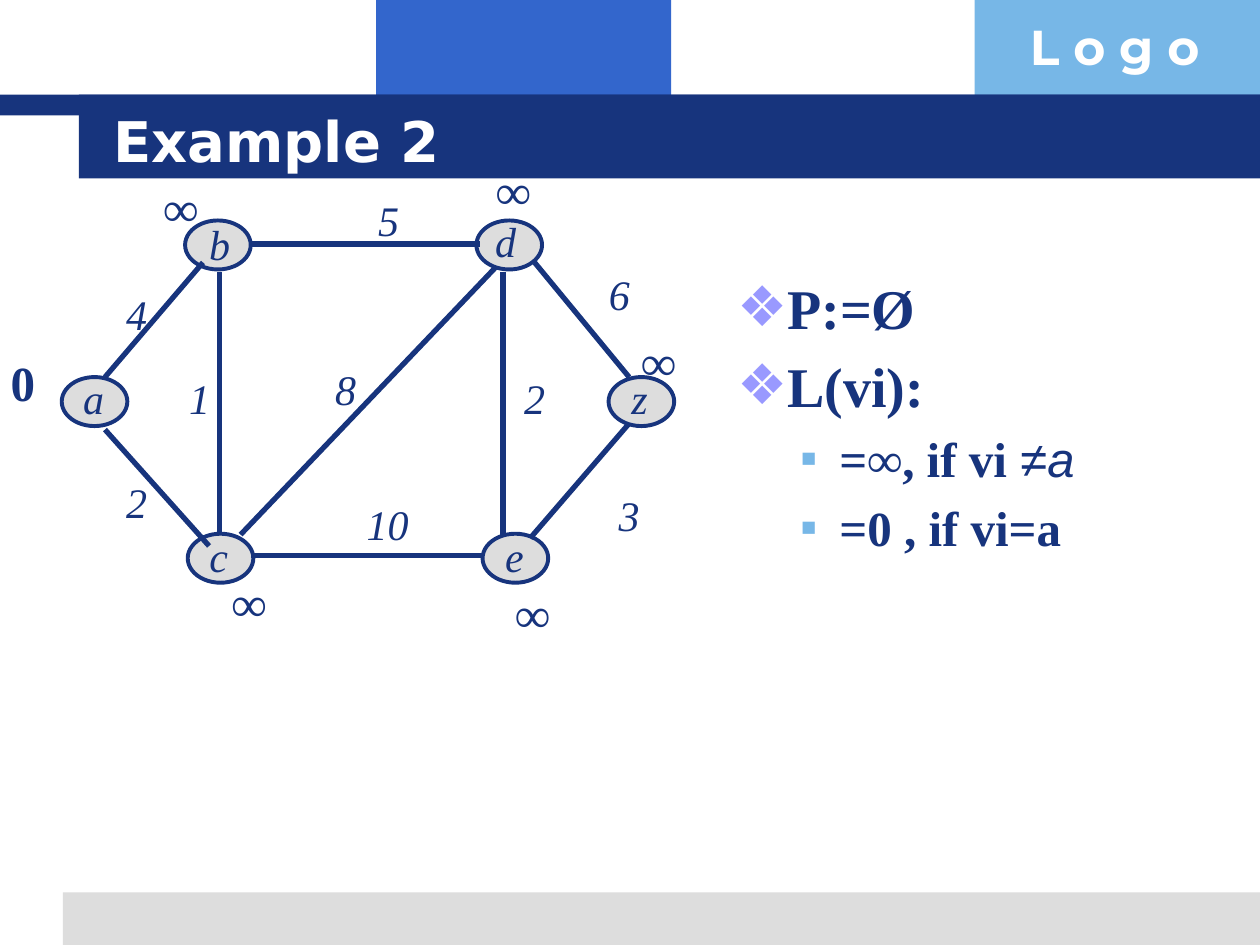
from lxml.etree import SubElement as Sub
from pptx import Presentation
from pptx.dml.color import RGBColor
from pptx.enum.shapes import MSO_CONNECTOR as Link, MSO_SHAPE as Form
from pptx.enum.text import MSO_ANCHOR as Anchor, MSO_AUTO_SIZE as Fit, PP_ALIGN as Align
from pptx.oxml.ns import qn
from pptx.util import Pt

NAVY = RGBColor(0x17, 0x34, 0x7D)
BLUE = RGBColor(0x33, 0x66, 0xCC)
SKY = RGBColor(0x77, 0xB7, 0xE7)
LILAC = RGBColor(0x99, 0x99, 0xFF)
GREY = RGBColor(0xDD, 0xDD, 0xDD)
WHITE = RGBColor(0xFF, 0xFF, 0xFF)
SERIF = "Times New Roman"

BARS = [
    (215, 0, 168.5, 66.5, BLUE),
    (557, 0, 163, 66.5, SKY),
    (36, 510, 684, 30, GREY),
    (0, 54, 720, 12, NAVY),
    (45, 54, 675, 48, NAVY),
]
NODES = [
    ("a", 54, 139.5, 53.5, 137.5),
    ("b", 124.5, 50, 125.5, 49),
    ("c", 126, 229, 125, 227.5),
    ("d", 291, 50, 289, 47.5),
    ("e", 294.5, 229, 294, 227.5),
    ("z", 366.5, 139.5, 365.5, 137.5),
]
EDGES = [
    (60, 125.5, 116, 60, "4", 78, 89.5),
    (60, 155.5, 119.5, 222, "2", 78, 196.5),
    (125.5, 215.5, 125.5, 65.5, "1", 114, 137),
    (142.5, 49.5, 274.5, 49.5, "5", 222, 35.5),
    (137.5, 215.5, 283.5, 62.5, "8", 197.5, 132),
    (143.5, 227.5, 276, 227.5, "10", 221.5, 209.5),
    (287.5, 215.5, 287.5, 65.5, "2", 305.5, 137.5),
    (305.5, 60, 359.5, 125.5, "6", 354, 78),
    (303, 217.5, 359.5, 152, "3", 359.5, 204),
]
MARKS = [
    ("0", 13.5, 128, 29),
    ("∞", 107.5, 28.5, 42.5),
    ("∞", 146.5, 254, 42.5),
    ("∞", 297.5, 18.5, 42.5),
    ("∞", 308.5, 260.5, 42.5),
    ("∞", 380.5, 116.5, 42.5),
]
STEPS = [
    (0, [("P:=Ø", True)]),
    (0, [("L(vi):", True)]),
    (1, [("=∞, if vi", True), (" ≠a", False)]),
    (1, [("=0 , if vi=a", True)]),
]
LEVELS = [(32, 27, 27, "❖", LILAC), (28, 58.5, 22.5, "▪", SKY)]


def style(run, size, face=SERIF, color=NAVY, bold=False, slant=False):
    """Format one run."""
    font = run.font
    font.size, font.name = Pt(size), face
    font.bold, font.italic = bold, slant
    font.color.rgb = color


def solid(shapes, form, box, fill):
    """Add a filled shape without line or shadow."""
    shape = shapes.add_shape(form, *map(Pt, box))
    shape.shadow.inherit = False
    shape.fill.solid()
    shape.fill.fore_color.rgb = fill
    shape.line.fill.background()
    return shape


def label(shapes, text, box, size, align=Align.LEFT, **look):
    """Add a one-line text box."""
    frame = shapes.add_textbox(*map(Pt, box)).text_frame
    frame.word_wrap = True
    frame.text = text
    frame.vertical_anchor = Anchor.MIDDLE
    para = frame.paragraphs[0]
    para.alignment = align
    style(para.runs[0], size, **look)


def centred(shapes, text, x, y):
    """Add an italic graph label centred on a point."""
    wide = 24 + 12 * len(text)
    label(shapes, text, (x - wide / 2, y - 18, wide, 36), 24, Align.CENTER, slant=True)


def place(holder, box):
    """Move a placeholder to a box and to the front."""
    holder.left, holder.top, holder.width, holder.height = map(Pt, box)
    holder.text_frame.auto_size = Fit.NONE
    holder.element.getparent().append(holder.element)


def banner(shapes):
    """Draw the coloured bars and the corner word."""
    for *box, fill in BARS:
        solid(shapes, Form.RECTANGLE, box, fill)
    label(shapes, "L o g o", (581.5, 5.5, 138.5, 41), 28,
          face="Montserrat", color=WHITE, bold=True)


def head(holder, text, box):
    """Fill the title placeholder."""
    place(holder, box)
    frame = holder.text_frame
    frame.text = text
    frame.vertical_anchor = Anchor.MIDDLE
    para = frame.paragraphs[0]
    para.alignment = Align.LEFT
    style(para.runs[0], 32, "DejaVu Sans", WHITE, True)


def bullet(para, left, hang, sign, color):
    """Give a paragraph its indents and bullet."""
    props = para._p.get_or_add_pPr()
    props.set("marL", str(Pt(left)))
    props.set("indent", str(-Pt(hang)))
    tint = Sub(props, qn("a:buClr"))
    Sub(tint, qn("a:srgbClr"), val=str(color))
    Sub(props, qn("a:buChar"), char=sign)


def steps(holder, box):
    """Fill the body placeholder with the starting steps."""
    place(holder, box)
    frame = holder.text_frame
    frame.vertical_anchor = Anchor.TOP
    for i, (level, parts) in enumerate(STEPS):
        para = frame.add_paragraph() if i else frame.paragraphs[0]
        para.level = level
        size, *look = LEVELS[level]
        bullet(para, *look)
        for text, bold in parts:
            run = para.add_run()
            run.text = text
            style(run, size, SERIF if bold else "Arial", bold=bold, slant=not bold)


def edge(shapes, ends):
    """Draw one edge of the graph."""
    line = shapes.add_connector(Link.STRAIGHT, *map(Pt, ends))
    line.line.color.rgb = NAVY
    line.line.width = Pt(3)
    Sub(line.element.spPr, qn("a:effectLst"))


def graph(shapes, left, top):
    """Draw the weighted graph from its upper left corner."""
    for _, x, y, *_ in NODES:
        box = (left + x - 18.75, top + y - 14, 37.5, 28)
        oval = solid(shapes, Form.OVAL, box, GREY)
        oval.line.color.rgb = NAVY
        oval.line.width = Pt(2.25)
    for x1, y1, x2, y2, cost, x, y in EDGES:
        edge(shapes, (left + x1, top + y1, left + x2, top + y2))
        centred(shapes, cost, left + x, top + y)
    for name, _, _, x, y in NODES:
        centred(shapes, name, left + x, top + y)
    for text, x, y, wide in MARKS:
        box = (left + x - wide / 2, top + y - 20.5, wide, 41)
        label(shapes, text, box, 28, bold=True)


def main():
    """Build and save the slide."""
    deck = Presentation()
    deck.slide_width, deck.slide_height = Pt(720), Pt(540)
    slide = deck.slides.add_slide(deck.slide_layouts[1])
    shapes = slide.shapes
    banner(shapes)
    head(shapes.title, "Example 2", (57.5, 57.5, 614, 45))
    steps(slide.placeholders[1], (414, 152.5, 276, 248.5))
    graph(shapes, 0, 90)
    deck.save("out.pptx")


if __name__ == "__main__":
    main()
